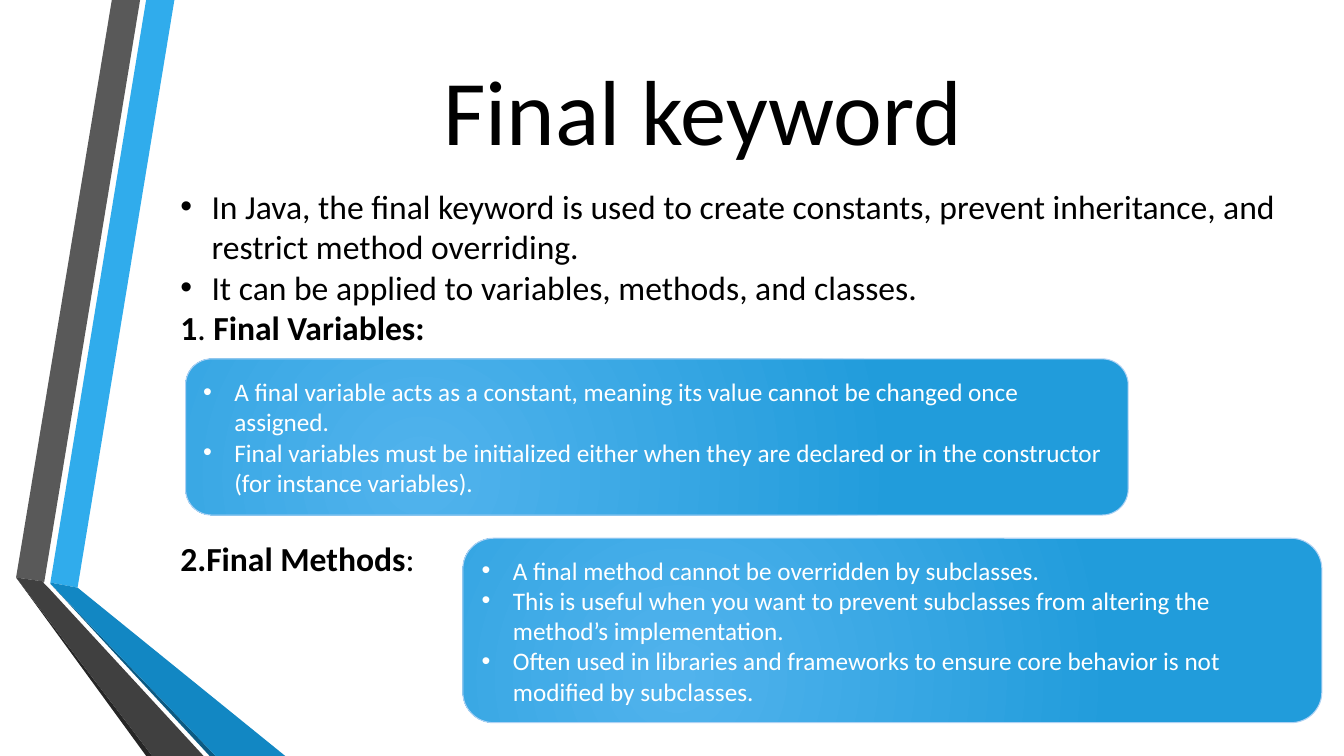
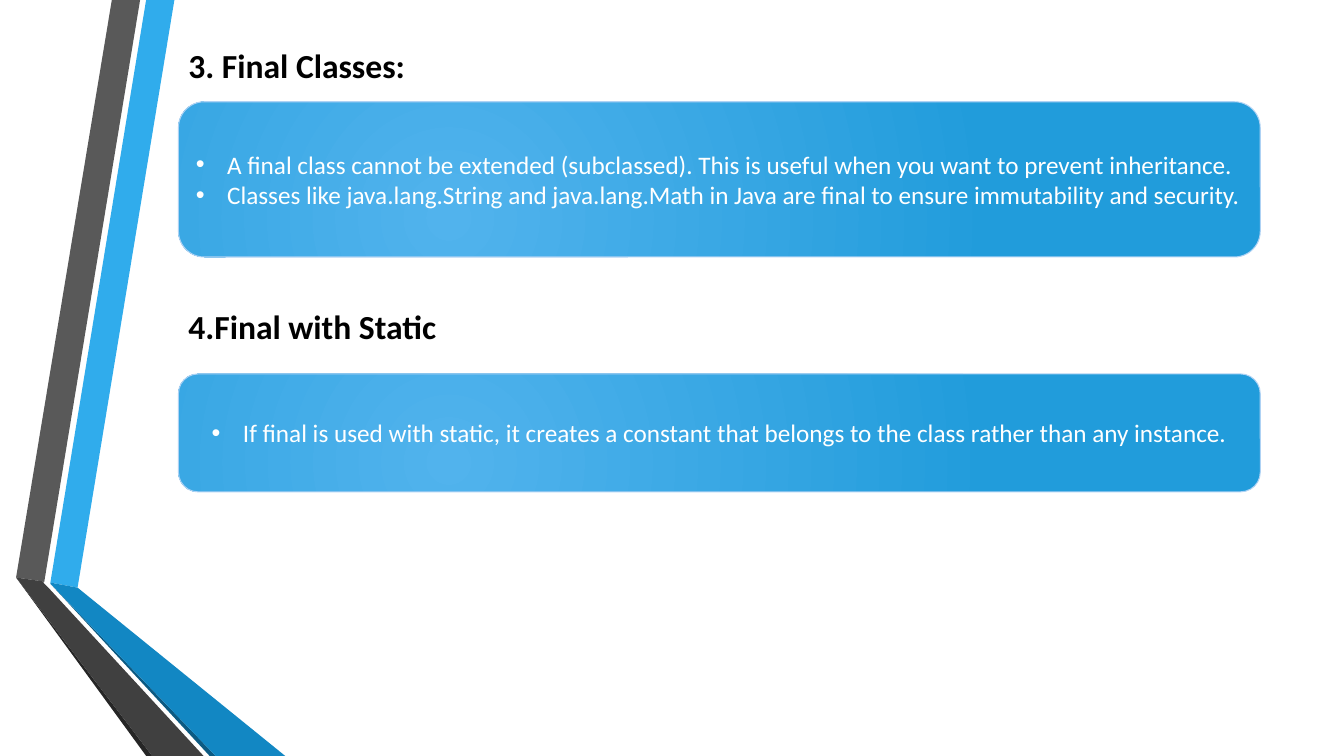
from lxml import etree
from pptx import Presentation
from pptx.dml.color import RGBColor
from pptx.enum.shapes import MSO_SHAPE
from pptx.enum.text import MSO_ANCHOR, PP_ALIGN
from pptx.oxml.ns import qn
from pptx.util import Inches, Pt

ROUNDED = MSO_SHAPE.ROUNDED_RECTANGLE
MIDDLE, TOP = MSO_ANCHOR.MIDDLE, MSO_ANCHOR.TOP
LEFT, CENTER = PP_ALIGN.LEFT, PP_ALIGN.CENTER

COLORS = {
    "black": "000000", "white": "FFFFFF",
    "sky": "30ACEC", "ocean": "1287C3", "navy": "0C5A82",
    "gray": "595959", "charcoal": "404040", "coal": "262626",
    "card_light": "51B3ED", "card_dark": "219CDB", "card_line": "AED2F4",
}
FONT = "Calibri"
TITLE = {"size": Pt(66), "name": FONT, "color": "black"}
BODY = {"size": Pt(24), "name": FONT, "color": "black"}
HEADING = {**BODY, "bold": True}
CARD = {"size": Pt(18), "name": FONT, "color": "white"}
INDENT = Inches(0.31)
GRADIENT_FOCUS = {"l": "50000", "t": "100000", "r": "100000", "b": "50000"}

RIBBONS = [
    ("sky", [(0.5, 5.78), (0.77, 5.83), (1.73, 0), (1.45, 0)]),
    ("gray", [(1.39, 0), (1.11, 0), (0.16, 5.73), (0.44, 5.77)]),
    ("coal", [(0.16, 5.73), (1.45, 7.5), (1.51, 7.5)]),
    ("navy", [(0.5, 5.79), (2.08, 7.5), (2.14, 7.5)]),
    ("ocean", [(0.5, 5.79), (2.14, 7.5), (2.83, 7.5), (0.77, 5.83), (0.5, 5.78)]),
    ("charcoal", [(2.02, 7.5), (0.48, 5.83), (0.43, 5.78), (0.44, 5.77),
                  (0.16, 5.73), (1.51, 7.5)]),
]


def rgb(name):
    """Return the named colour."""
    return RGBColor.from_string(COLORS[name])


def add_bullet(p):
    """Give a paragraph a round bullet with a hanging indent."""
    pPr = p._p.get_or_add_pPr()
    pPr.set("marL", str(INDENT))
    pPr.set("indent", str(-INDENT))
    etree.SubElement(pPr, qn("a:buFont")).set("typeface", "Arial")
    etree.SubElement(pPr, qn("a:buChar")).set("char", "•")


def add_run(p, text, style):
    """Append a run formatted from a style dict."""
    r = p.add_run()
    r.text = text
    for key, value in style.items():
        if key == "color":
            r.font.color.rgb = rgb(value)
        else:
            setattr(r.font, key, value)


def fill_text(tf, paragraphs, style, align=LEFT, anchor=MIDDLE, wrap=True):
    """Write paragraphs given as (bulleted, [(text, overrides), ...])."""
    tf.word_wrap = wrap
    tf.vertical_anchor = anchor
    for i, (bulleted, runs) in enumerate(paragraphs):
        p = tf.paragraphs[0] if i == 0 else tf.add_paragraph()
        p.alignment = align
        if bulleted:
            add_bullet(p)
        for text, overrides in runs:
            add_run(p, text, {**style, **overrides})


def bullets(*texts):
    """Return one bulleted paragraph for each text."""
    return [(True, [(text, {})]) for text in texts]


def plain(*runs):
    """Return a single paragraph without a bullet."""
    return (False, list(runs))


def add_text(slide, box, paragraphs, style, **options):
    """Place a text box."""
    sp = slide.shapes.add_textbox(*map(Inches, box))
    fill_text(sp.text_frame, paragraphs, style, **options)


def add_card(slide, box, texts, align=LEFT):
    """Place a rounded gradient card with bulleted text."""
    sp = slide.shapes.add_shape(ROUNDED, *map(Inches, box))
    sp.shadow.inherit = False
    sp.line.color.rgb = rgb("card_line")
    sp.line.width = Pt(0.75)
    sp.fill.gradient()
    for stop, name in zip(sp.fill.gradient_stops, ("card_light", "card_dark")):
        stop.color.rgb = rgb(name)
    grad = sp._element.spPr.find(qn("a:gradFill"))
    lin = grad.find(qn("a:lin"))
    circle = etree.Element(qn("a:path"), {"path": "circle"})
    etree.SubElement(circle, qn("a:fillToRect"), GRADIENT_FOCUS)
    grad.replace(lin, circle)
    fill_text(sp.text_frame, bullets(*texts), CARD, align)


def add_ribbons(slide):
    """Draw the folded ribbons along the left edge."""
    group = slide.shapes.add_group_shape()
    for color, points in RIBBONS:
        start, *rest = [(Inches(x), Inches(y)) for x, y in points]
        builder = group.shapes.build_freeform(*start)
        builder.add_line_segments(rest, close=True)
        sp = builder.convert_to_shape()
        sp.shadow.inherit = False
        sp.fill.solid()
        sp.fill.fore_color.rgb = rgb(color)
        sp.line.fill.background()


def new_slide(prs):
    """Add a blank slide with the ribbons."""
    slide = prs.slides.add_slide(prs.slide_layouts[6])
    add_ribbons(slide)
    return slide


def build_keyword_slide(prs):
    """Build the slide on the keyword, variables and methods."""
    slide = new_slide(prs)
    add_text(slide, (1.49, 0.12, 10.96, 1.92), [plain(("Final keyword", {}))],
             TITLE, align=CENTER)
    intro = bullets(
        "In Java, the final keyword is used to create constants, prevent "
        "inheritance, and restrict method overriding.",
        "It can be applied to variables, methods, and classes.",
    )
    variables = plain(("1", {"bold": True}), (". ", {}),
                      ("Final Variables:", {"bold": True}))
    add_text(slide, (1.69, 0.12, 11.54, 5.05), [*intro, variables], BODY)
    add_card(slide, (1.84, 3.56, 9.35, 1.55), [
        "A final variable acts as a constant, meaning its value cannot be "
        "changed once assigned.",
        "Final variables must be initialized either when they are declared "
        "or in the constructor (for instance variables).",
    ])
    add_text(slide, (1.69, 5.29, 2.73, 0.5),
             [plain(("2.Final Methods", {}), (":", {"bold": False}))],
             HEADING, anchor=TOP)
    add_card(slide, (4.59, 5.34, 8.52, 1.83), [
        "A final method cannot be overridden by subclasses.",
        "This is useful when you want to prevent subclasses from altering "
        "the method’s implementation.",
        "Often used in libraries and frameworks to ensure core behavior is "
        "not modified by subclasses.",
    ])


def build_classes_slide(prs):
    """Build the slide on final classes and static."""
    slide = new_slide(prs)
    left, width = 1.77, 10.73
    add_text(slide, (left, 0.25, 8.29, 0.8),
             [plain(("3. Final Classes:", {}))], HEADING)
    add_card(slide, (left, 1.01, width, 1.54), [
        "A final class cannot be extended (subclassed). This is useful when "
        "you want to prevent inheritance.",
        "Classes like java.lang.String and java.lang.Math in Java are final "
        "to ensure immutability and security.",
    ])
    add_text(slide, (left, 2.99, 2.82, 0.5),
             [plain(("4.Final with Static", {}))], HEADING,
             anchor=TOP, wrap=False)
    add_card(slide, (left, 3.71, width, 1.17), [
        "If final is used with static, it creates a constant that belongs to "
        "the class rather than any instance.",
    ], align=CENTER)


def main():
    """Build and save the presentation."""
    prs = Presentation()
    prs.slide_width, prs.slide_height = Inches(13.33), Inches(7.5)
    build_keyword_slide(prs)
    build_classes_slide(prs)
    prs.save("out.pptx")


if __name__ == "__main__":
    main()
